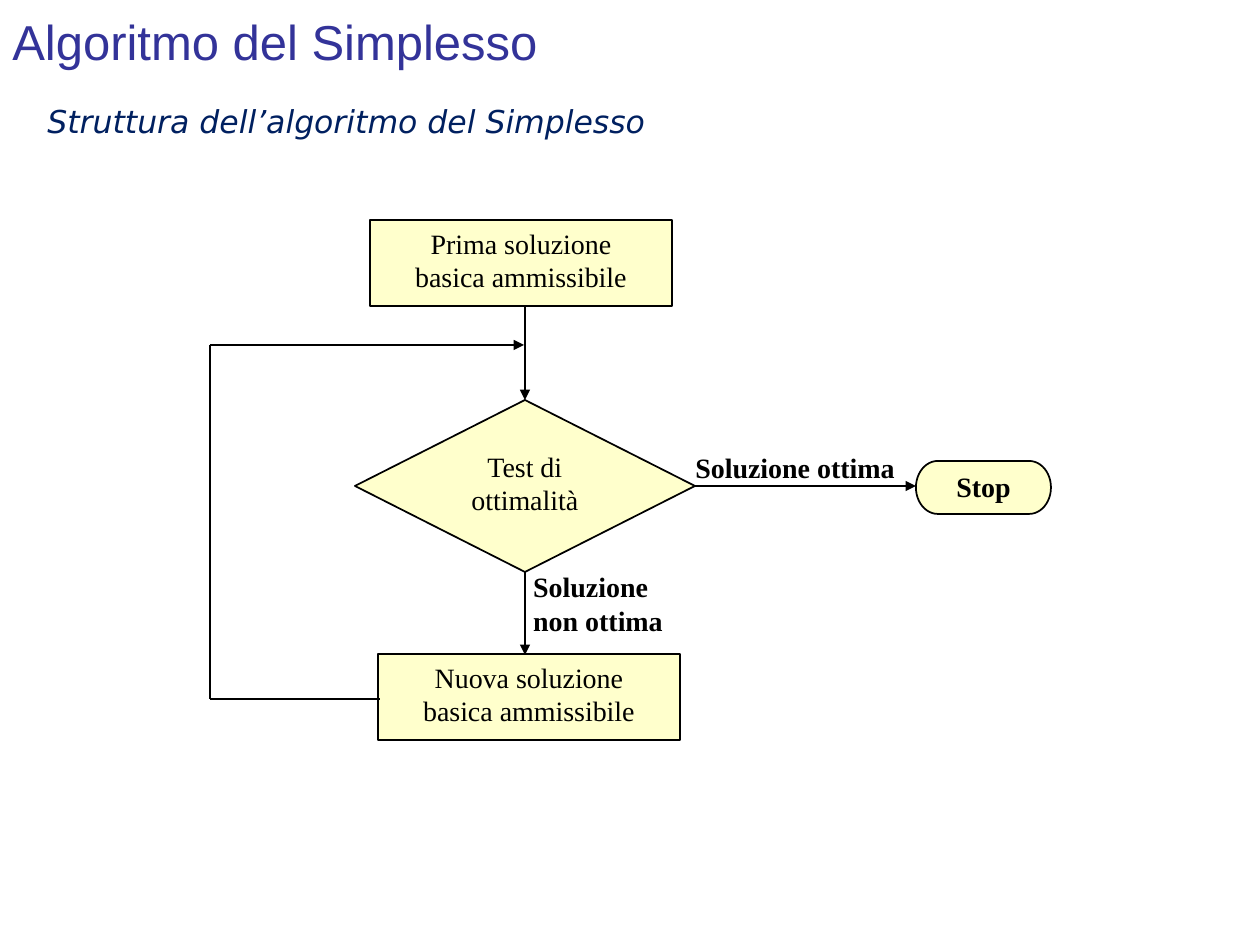
from dataclasses import dataclass
from itertools import pairwise

from lxml.etree import SubElement
from pptx import Presentation
from pptx.dml.color import RGBColor as RGB
from pptx.enum.shapes import MSO_CONNECTOR as Link, MSO_SHAPE as Kind
from pptx.enum.text import MSO_ANCHOR as Anchor, PP_ALIGN as Align
from pptx.oxml.ns import qn
from pptx.util import Pt

PX = 914400 / 126  # EMU in one px


@dataclass(frozen=True)
class Theme:
    ink: RGB = RGB(0, 0, 0)
    node: RGB = RGB(0xFF, 0xFF, 0xCC)
    paper: RGB = RGB(0xFF, 0xFF, 0xFF)
    head: RGB = RGB(0x33, 0x33, 0x99)
    sub: RGB = RGB(0, 0x20, 0x60)
    edge: float = 1
    wire: float = 1.5


LOOK = Theme()
HEAD = {"name": "Arial", "size": Pt(28)}
SUB = {"name": "DejaVu Sans", "size": Pt(18), "italic": True}
BODY = {"name": "Times New Roman", "size": Pt(16)}
BOLD = BODY | {"bold": True}
THIN = {"margin_left": 8, "margin_right": 8, "margin_top": 1, "margin_bottom": 1}


def emu(*vals):
    return [round(v * PX) for v in vals]


def write(shape, lines, font, color, align=Align.LEFT, anchor=Anchor.TOP, pads=None):
    frame = shape.text_frame
    frame.word_wrap = True
    frame.vertical_anchor = anchor
    for key, val in (pads or {}).items():
        setattr(frame, key, emu(val)[0])
    frame.text = lines
    for para in frame.paragraphs:
        para.alignment = align
        for key, val in font.items():
            setattr(para.font, key, val)
        para.font.color.rgb = color


def node(slide, kind, box, lines, font=BODY, align=Align.CENTER, pads=None, bare=False):
    shape = slide.shapes.add_shape(kind, *emu(*box))
    shape.shadow.inherit = False
    if bare:
        shape.fill.background()
        shape.line.fill.background()
    else:
        shape.fill.solid()
        shape.fill.fore_color.rgb = LOOK.node
        shape.line.color.rgb = LOOK.ink
        shape.line.width = Pt(LOOK.edge)
    write(shape, lines, font, LOOK.ink, align, pads=pads)


def route(slide, *stops):
    """Straight lines through the stops, with an arrowhead on the last."""
    legs = list(pairwise(stops))
    for i, (start, end) in enumerate(legs):
        line = slide.shapes.add_connector(Link.STRAIGHT, *emu(*start, *end))
        line.line.color.rgb = LOOK.ink
        line.line.width = Pt(LOOK.wire)
        if i == len(legs) - 1:
            SubElement(line.line._get_or_add_ln(), qn("a:tailEnd"), type="triangle")
        SubElement(line._element.spPr, qn("a:effectLst"))


def titles(slide, x, y):
    title = slide.shapes.add_textbox(*emu(x, y, 1134, 90))
    write(title, "Algoritmo del Simplesso", HEAD, LOOK.head, anchor=Anchor.MIDDLE)
    sub = slide.shapes.add_textbox(*emu(x + 35, y + 100, 1074, 50))
    write(sub, "Struttura dell’algoritmo del Simplesso", SUB, LOOK.sub)


def flow(slide, x, y):
    def at(dx, dy, *size):
        return (x + dx, y + dy, *size)

    mid, row = 315, 266  # main column and test row

    # Steps
    node(slide, Kind.RECTANGLE, at(160, 0, 302, 86),
         "Prima soluzione\nbasica ammissibile")
    node(slide, Kind.FLOWCHART_DECISION, at(mid - 170, 180, 340, 172),
         "Test di\nottimalità")
    node(slide, Kind.FLOWCHART_TERMINATOR, at(706, 241, 135, 53), "Stop",
         BOLD, pads=THIN)
    node(slide, Kind.RECTANGLE, at(168, 434, 302, 86),
         "Nuova soluzione\nbasica ammissibile")

    # Arrows
    route(slide, at(mid, 86), at(mid, 180))
    route(slide, at(mid, 352), at(mid, 435))
    route(slide, at(484, row), at(706, row))
    route(slide, at(170, 479), at(0, 479), at(0, 125), at(mid - 1, 125))

    # Branch labels
    node(slide, Kind.FLOWCHART_TERMINATOR, at(444, 222, 282, 53),
         "Soluzione ottima", BOLD, pads=THIN, bare=True)
    node(slide, Kind.FLOWCHART_TERMINATOR, at(302, 334, 282, 103),
         "Soluzione\nnon ottima", BOLD, Align.LEFT, THIN, bare=True)


def main():
    deck = Presentation()
    deck.slide_width, deck.slide_height = emu(1260, 945)
    slide = deck.slides.add_slide(deck.slide_layouts[6])
    slide.background.fill.solid()
    slide.background.fill.fore_color.rgb = LOOK.paper
    titles(slide, 0, -4)
    flow(slide, 210, 220)
    deck.save("out.pptx")


if __name__ == "__main__":
    main()
